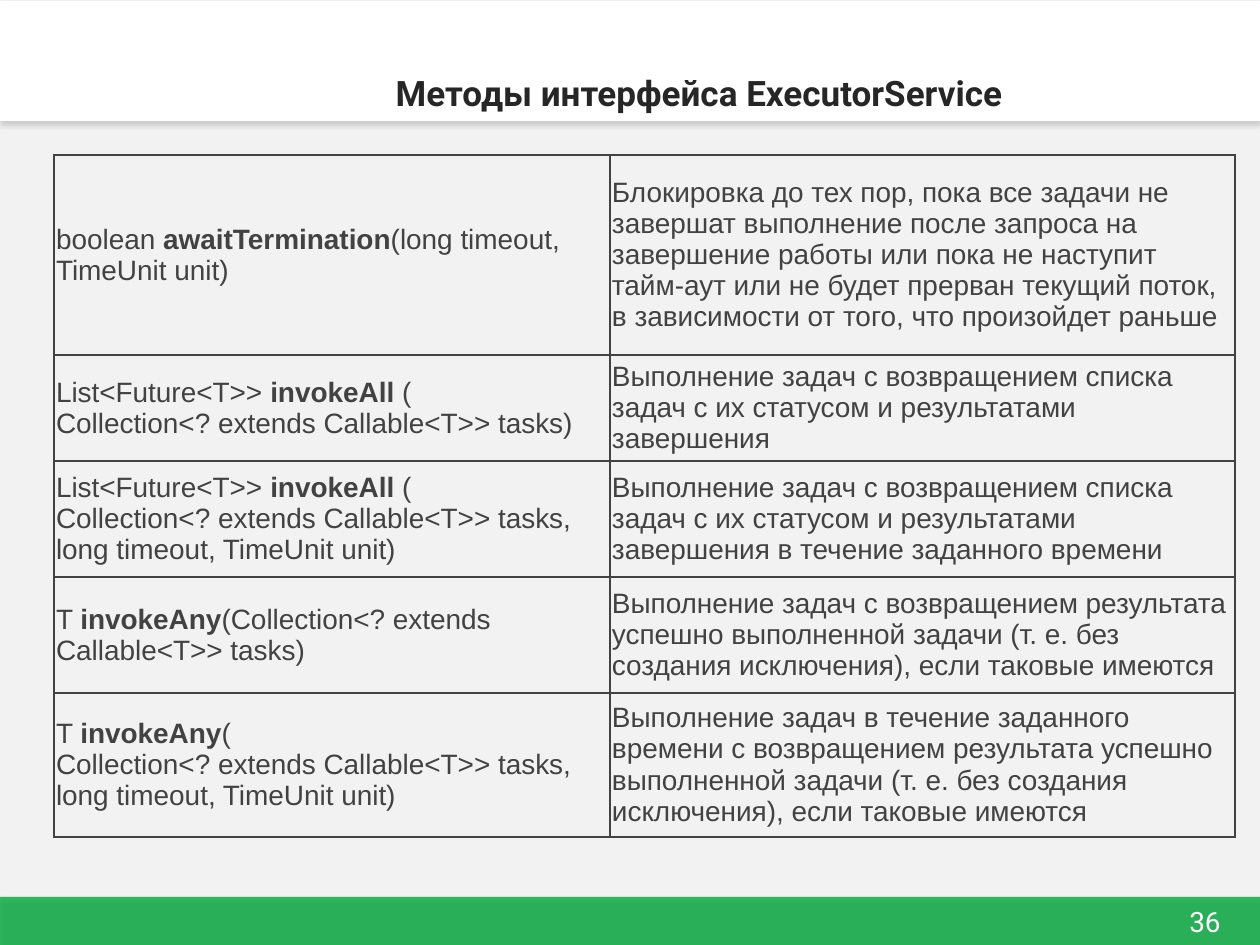
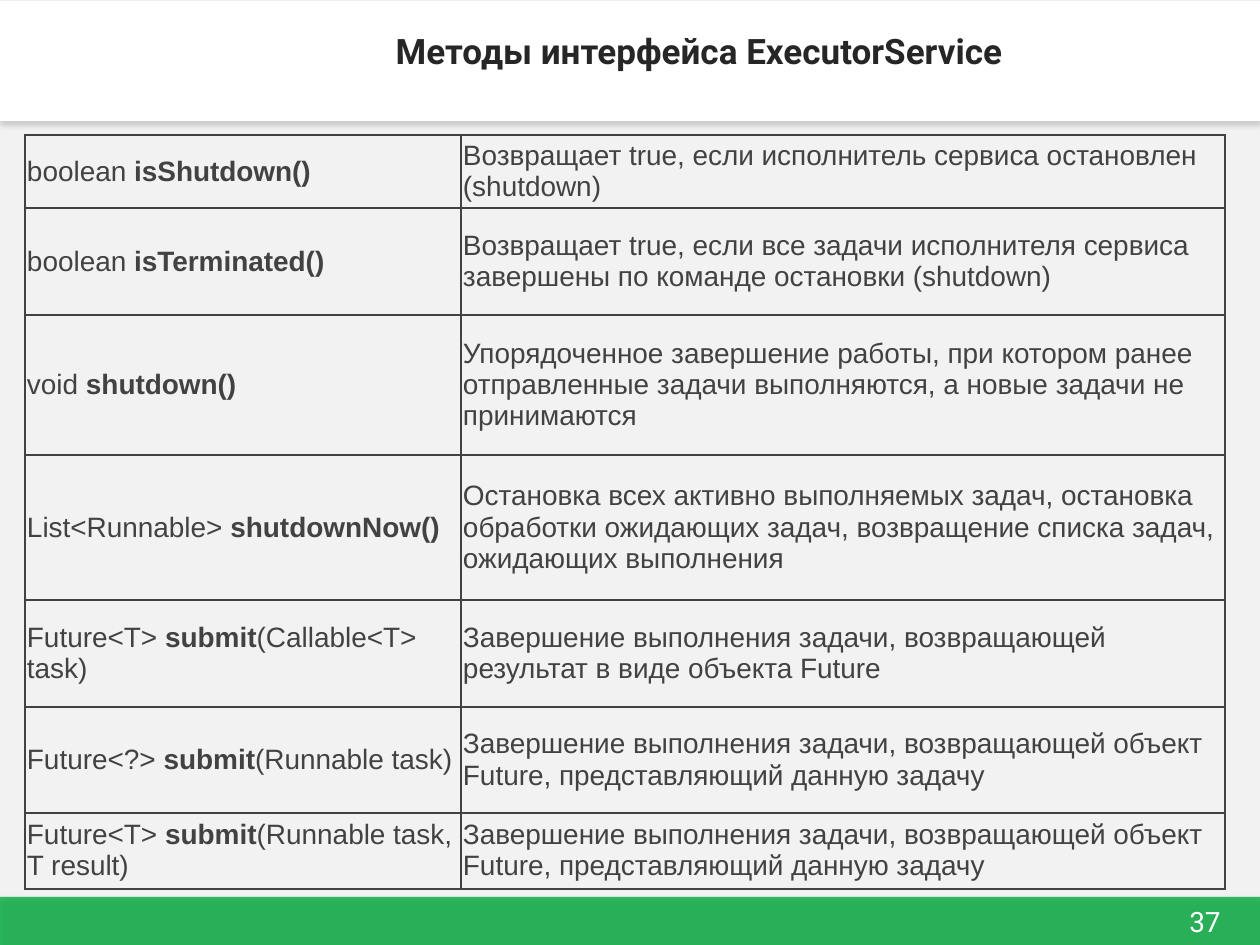
"""Build two slides that list the methods of the ExecutorService interface."""
from dataclasses import dataclass
from typing import Any

import lxml.etree
import pptx
import pptx.dml.color
import pptx.enum.shapes
import pptx.enum.text
import pptx.oxml.ns
import pptx.util

EMU_PER_PX = 914400 / 126
SLIDE_WIDTH, SLIDE_HEIGHT = 1260, 945

BACKGROUND = pptx.dml.color.RGBColor(0xF2, 0xF2, 0xF2)
GREEN = pptx.dml.color.RGBColor(0x13, 0xB1, 0x4A)
WHITE = pptx.dml.color.RGBColor(0xFF, 0xFF, 0xFF)
GRAY = pptx.dml.color.RGBColor(0x80, 0x80, 0x80)
BLACK = pptx.dml.color.RGBColor(0x00, 0x00, 0x00)
TABLE_INK = pptx.dml.color.RGBColor(0x42, 0x42, 0x42)
TITLE_INK = pptx.dml.color.RGBColor(0x26, 0x26, 0x26)

MIDDLE = pptx.enum.text.MSO_ANCHOR.MIDDLE
BOTTOM = pptx.enum.text.MSO_ANCHOR.BOTTOM
LEFT = pptx.enum.text.PP_ALIGN.LEFT
CENTER = pptx.enum.text.PP_ALIGN.CENTER

TITLE_TEXT = "Методы интерфейса ExecutorService"
TITLE_FONT = {"name": "Roboto", "size": pptx.util.Pt(20), "bold": True}
NUMBER_FONT = {"name": "Roboto", "size": pptx.util.Pt(16)}
TABLE_FONT = {"name": "Arial", "size": pptx.util.Pt(16)}


@dataclass(frozen=True)
class Box:
    left: int
    top: int
    width: int
    height: int

    def emu(self) -> tuple[int, ...]:
        return tuple(px(side) for side in (self.left, self.top, self.width, self.height))


@dataclass(frozen=True)
class Band:
    box: Box
    color: pptx.dml.color.RGBColor
    opacity: int
    shadow: pptx.dml.color.RGBColor


@dataclass(frozen=True)
class Method:
    result: str
    name: str
    arguments: str
    description: str
    row_height: int


@dataclass(frozen=True)
class MethodPage:
    number: int
    title_bottom_inset: int
    table_left: int
    table_top: int
    column_widths: tuple[int, int]
    methods: tuple[Method, ...]


TITLE_BOX = Box(383, -1, 814, 121)
NUMBER_BOX = Box(1162, 898, 86, 47)
BANDS = (
    Band(Box(0, 897, SLIDE_WIDTH, 48), GREEN, 86, BLACK),
    Band(Box(0, 1, SLIDE_WIDTH, 120), WHITE, 100, GRAY),
)

PAGES = (
    MethodPage(36, 6, 54, 155, (556, 625), (
        Method("boolean ", "awaitTermination", "(long timeout, TimeUnit unit)",
               "Блокировка до тех пор, пока все задачи не завершат выполнение после запроса "
               "на завершение работы или пока не наступит тайм-аут или не будет прерван "
               "текущий поток, в зависимости от того, что произойдет раньше", 200),
        Method("List<Future<T>> ", "invokeAll", " (\nCollection<? extends Callable<T>> tasks)",
               "Выполнение задач с возвращением списка задач с их статусом и результатами "
               "завершения", 106),
        Method("List<Future<T>> ", "invokeAll",
               " (\nCollection<? extends Callable<T>> tasks, long timeout, TimeUnit unit)",
               "Выполнение задач с возвращением списка задач с их статусом и результатами "
               "завершения в течение заданного времени", 116),
        Method("T ", "invokeAny", "(Collection<? extends Callable<T>> tasks)",
               "Выполнение задач с возвращением результата успешно выполненной задачи "
               "(т. е. без создания исключения), если таковые имеются", 116),
        Method("T ", "invokeAny",
               "(\nCollection<? extends Callable<T>> tasks, long timeout, TimeUnit unit)",
               "Выполнение задач в течение заданного времени с возвращением результата "
               "успешно выполненной задачи (т. е. без создания исключения), "
               "если таковые имеются", 144),
    )),
    MethodPage(37, 48, 25, 135, (436, 764), (
        Method("boolean ", "isShutdown()", "",
               "Возвращает true, если исполнитель сервиса остановлен (shutdown)", 73),
        Method("boolean ", "isTerminated()", "",
               "Возвращает true, если все задачи исполнителя сервиса завершены "
               "по команде остановки (shutdown)", 107),
        Method("void ", "shutdown()", "",
               "Упорядоченное завершение работы, при котором ранее отправленные задачи "
               "выполняются, а новые задачи не принимаются", 140),
        Method("List<Runnable> ", "shutdownNow()", "",
               "Остановка всех активно выполняемых задач, остановка обработки ожидающих "
               "задач, возвращение списка задач, ожидающих выполнения", 145),
        Method("Future<T> ", "submit", "(Callable<T> task)",
               "Завершение выполнения задачи, возвращающей результат в виде объекта Future",
               107),
        Method("Future<?> ", "submit", "(Runnable task)",
               "Завершение выполнения задачи, возвращающей объект Future, "
               "представляющий данную задачу", 106),
        Method("Future<T> ", "submit", "(Runnable task, T result)",
               "Завершение выполнения задачи, возвращающей объект Future, "
               "представляющий данную задачу", 76),
    )),
)


def px(length: int) -> int:
    return round(length * EMU_PER_PX)


def apply_format(target: Any, values: dict[str, Any]) -> None:
    for name, value in values.items():
        setattr(target, name, value)


def add_element(parent: Any, tag: str, **attributes: Any) -> Any:
    values = {name: str(value) for name, value in attributes.items()}
    return lxml.etree.SubElement(parent, pptx.oxml.ns.qn(tag), values)


def add_run(paragraph: Any, text: str, font: dict[str, Any],
            color: pptx.dml.color.RGBColor, **extra: Any) -> None:
    run = paragraph.add_run()
    run.text = text
    apply_format(run.font, font | extra)
    run.font.color.rgb = color


def draw_band(slide: Any, band: Band) -> None:
    rectangle = pptx.enum.shapes.MSO_SHAPE.RECTANGLE
    shape = slide.shapes.add_shape(rectangle, *band.box.emu())
    shape.fill.solid()
    shape.fill.fore_color.rgb = band.color
    shape.line.fill.background()
    shape.shadow.inherit = False
    fill_color = shape.element.spPr.find(".//" + pptx.oxml.ns.qn("a:srgbClr"))
    add_element(fill_color, "a:alpha", val=band.opacity * 1000)
    effects = shape.element.spPr.find(pptx.oxml.ns.qn("a:effectLst"))
    shadow = add_element(effects, "a:outerShdw", blurRad=pptx.util.Pt(3.1),
                         dist=pptx.util.Pt(1.8), dir=90 * 60000, rotWithShape=0)
    shadow_color = add_element(shadow, "a:srgbClr", val=band.shadow)
    add_element(shadow_color, "a:alpha", val=35000)


def draw_number(slide: Any, number: int) -> None:
    frame = slide.shapes.add_textbox(*NUMBER_BOX.emu()).text_frame
    apply_format(frame, {"word_wrap": True, "vertical_anchor": MIDDLE})
    paragraph = frame.paragraphs[0]
    paragraph.alignment = CENTER
    add_run(paragraph, str(number), NUMBER_FONT, WHITE)


def draw_title(slide: Any, bottom_inset: int) -> None:
    title = slide.shapes.title
    title.element.getparent().append(title.element)
    left, top, width, height = TITLE_BOX.emu()
    apply_format(title, {"left": left, "top": top, "width": width, "height": height})
    apply_format(title.text_frame, {
        "vertical_anchor": BOTTOM, "margin_bottom": px(bottom_inset), "word_wrap": True,
        "auto_size": pptx.enum.text.MSO_AUTO_SIZE.NONE,
    })
    paragraph = title.text_frame.paragraphs[0]
    paragraph.alignment = LEFT
    add_run(paragraph, TITLE_TEXT, TITLE_FONT, TITLE_INK)


def format_cell(cell: Any) -> None:
    margins = {f"margin_{side}": px(2) for side in ("left", "right", "top", "bottom")}
    apply_format(cell, margins | {"vertical_anchor": MIDDLE})
    properties = cell._tc.get_or_add_tcPr()
    for side in ("L", "R", "T", "B"):
        line = add_element(properties, f"a:ln{side}", w=pptx.util.Pt(1))
        add_element(add_element(line, "a:solidFill"), "a:srgbClr", val=TABLE_INK)
    cell.fill.background()


def write_signature(cell: Any, method: Method) -> None:
    first_line, *other_lines = method.arguments.split("\n")
    paragraph = cell.text_frame.paragraphs[0]
    add_run(paragraph, method.result, TABLE_FONT, TABLE_INK)
    add_run(paragraph, method.name, TABLE_FONT, TABLE_INK, bold=True)
    if first_line:
        add_run(paragraph, first_line, TABLE_FONT, TABLE_INK)
    for line in other_lines:
        add_run(cell.text_frame.add_paragraph(), line, TABLE_FONT, TABLE_INK)


def draw_methods(slide: Any, page: MethodPage) -> None:
    box = Box(page.table_left, page.table_top, sum(page.column_widths),
              sum(method.row_height for method in page.methods))
    table = slide.shapes.add_table(len(page.methods), 2, *box.emu()).table
    apply_format(table, {"first_row": False, "horz_banding": False})
    for column, width in zip(table.columns, page.column_widths):
        column.width = px(width)
    for row, method in zip(table.rows, page.methods):
        row.height = px(method.row_height)
        signature, description = row.cells
        format_cell(signature)
        format_cell(description)
        write_signature(signature, method)
        add_run(description.text_frame.paragraphs[0], method.description,
                TABLE_FONT, TABLE_INK)


def draw_page(presentation: Any, page: MethodPage) -> None:
    slide = presentation.slides.add_slide(presentation.slide_layouts[5])
    slide.background.fill.solid()
    slide.background.fill.fore_color.rgb = BACKGROUND
    for band in BANDS:
        draw_band(slide, band)
    draw_number(slide, page.number)
    draw_methods(slide, page)
    draw_title(slide, page.title_bottom_inset)


def main() -> None:
    presentation = pptx.Presentation()
    apply_format(presentation, {"slide_width": px(SLIDE_WIDTH),
                                "slide_height": px(SLIDE_HEIGHT)})
    for page in PAGES:
        draw_page(presentation, page)
    presentation.save("out.pptx")


if __name__ == "__main__":
    main()
